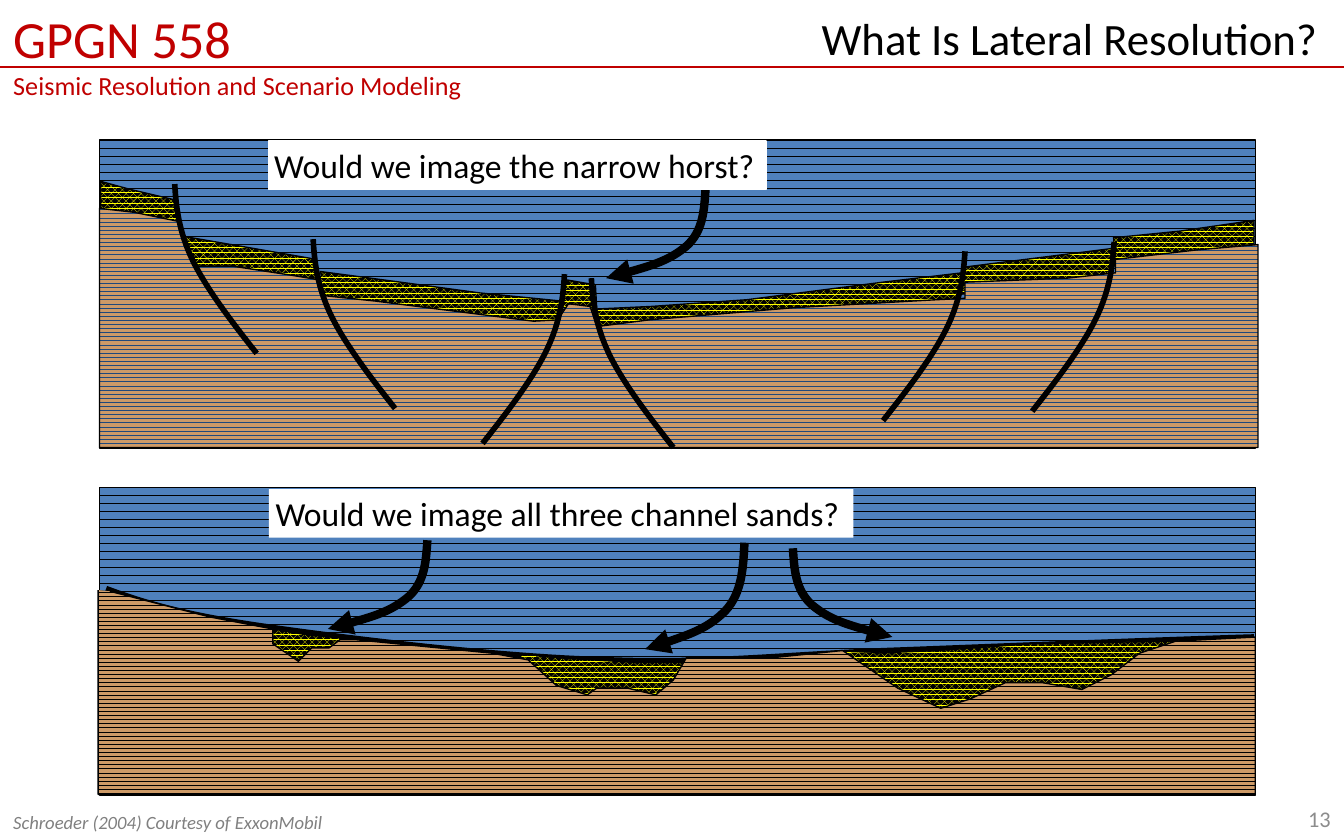
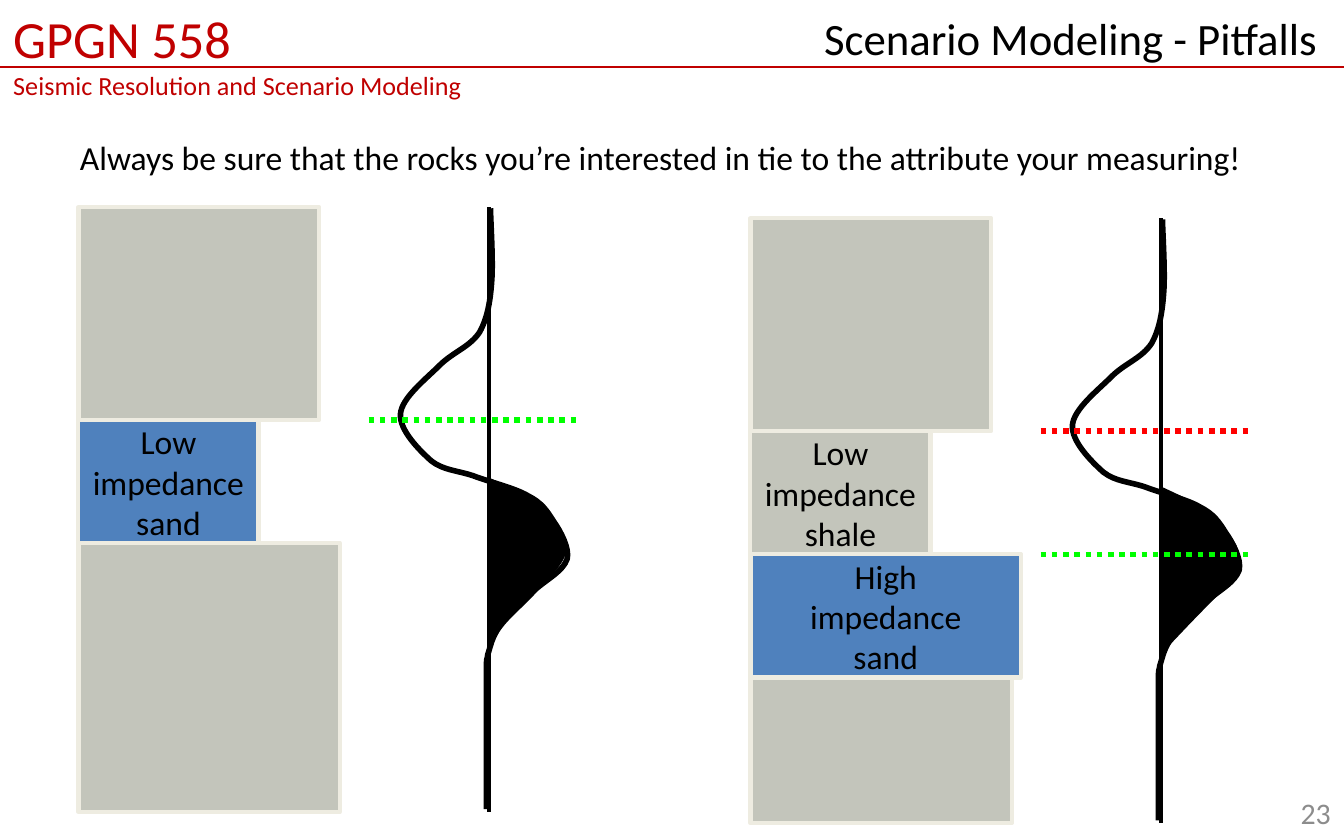
import pptx
import pptx.dml.color
import pptx.enum.dml
import pptx.enum.shapes
import pptx.enum.text
import pptx.oxml.ns
import pptx.util
from lxml import etree

Pt = pptx.util.Pt
qn = pptx.oxml.ns.qn
ALIGN = pptx.enum.text.PP_ALIGN
ANCHOR = pptx.enum.text.MSO_ANCHOR
AUTO_SIZE = pptx.enum.text.MSO_AUTO_SIZE
PATTERN = pptx.enum.dml.MSO_PATTERN
DASH = pptx.enum.dml.MSO_LINE
RECTANGLE = pptx.enum.shapes.MSO_SHAPE.RECTANGLE
STRAIGHT = pptx.enum.shapes.MSO_CONNECTOR.STRAIGHT

COLORS = {
    "red": "C00000", "black": "000000", "white": "FFFFFF", "number": "8C8C8C",
    "credit": "808080", "blue": "4F81BD", "yellow": "FFFF00", "earth": "CD9A67",
    "navy": "1F497D", "shale": "C3C5BB", "edge": "EEECE1",
    "green": "00FF00", "alert": "FF0000",
}
# Pattern fills: pattern, foreground, background
WATER = (PATTERN.DASHED_HORIZONTAL, "black", "blue")
SAND = (PATTERN.PERCENT_75, "yellow", "black")
LAYERED_EARTH = (PATTERN.DARK_HORIZONTAL, "earth", "navy")
DARK_EARTH = (PATTERN.DARK_HORIZONTAL, "earth", "black")

GRID = 0.72  # points per unit of the outline coordinates

# Curves: a start point, then three points per Bezier segment
FAULT = [(0, 0), (1, 17), (3, 35), (13, 56), (23, 77), (42, 102), (61, 126)]
ARROW = [(0, 0), (24, -6), (47, -13), (60, -24), (72, -35), (73, -50), (74, -66)]
HORIZON = [(79, 438), (106, 448), (134, 457), (196, 466), (258, 475), (373, 489),
           (451, 491), (528, 494), (583, 487), (663, 484), (744, 481), (838, 477),
           (933, 474)]
LOBE = [(364, 356), (368, 358), (382, 364), (389, 369), (397, 374), (405, 378),
        (410, 386), (415, 393), (423, 403), (420, 413), (417, 423), (401, 436),
        (392, 446), (382, 456), (373, 466), (365, 474)]
TRACE = [(365, 155), (365, 163), (367, 193), (366, 208), (365, 223), (363, 236),
         (357, 247), (350, 258), (337, 262), (327, 272), (317, 282), (299, 296),
         (298, 308), (297, 320), (312, 335), (321, 343), (330, 350), (340, 350),
         (352, 354), (365, 359), (383, 363), (393, 369), (403, 374), (407, 380),
         (412, 388), (417, 395), (424, 408), (422, 416), (419, 425), (407, 431),
         (398, 439), (390, 448), (378, 458), (372, 466), (366, 474), (365, 481),
         (363, 487), (362, 494), (362, 485), (362, 505), (362, 524), (362, 585),
         (362, 602)]

FAULTED_SANDS = [
    [(75, 160), (75, 135), (97, 141), (131, 149), (133, 163), (135, 172), (117, 169),
     (87, 161)],
    [(137, 176), (189, 185), (235, 193), (237, 206), (238, 216), (171, 206), (144, 199)],
    [(238, 202), (298, 210), (357, 218), (417, 224), (416, 239), (412, 245), (344, 238),
     (298, 231), (242, 224)],
    [(420, 208), (443, 212), (444, 229), (445, 237), (417, 228)],
    [(443, 230), (485, 228), (556, 223), (657, 210), (716, 203), (715, 218), (710, 230),
     (445, 255)],
    [(716, 199), (827, 185), (826, 201), (825, 209), (714, 219)],
    [(828, 177), (878, 172), (933, 164), (933, 186), (867, 194), (828, 198)],
]
FAULTED_GROUND = [
    (74, 155), (74, 333), (936, 333), (936, 182), (890, 186), (830, 193), (830, 203),
    (794, 207), (718, 210), (718, 222), (697, 223), (590, 229), (483, 238), (444, 243),
    (439, 228), (423, 226), (415, 238), (397, 239), (279, 224), (241, 220), (236, 208),
    (218, 205), (173, 198), (144, 198), (137, 182), (134, 165), (100, 158), (74, 155)]
# x, top, direction in which the fault leans downwards
FAULTS = [(130, 137, 1), (420, 204, -1), (440, 207, 1), (233, 178, 1),
          (718, 187, -1), (829, 180, -1)]

CHANNEL_SANDS = [
    [(625, 485), (647, 504), (678, 523), (699, 532), (710, 531), (733, 521), (747, 514),
     (768, 513), (790, 513), (809, 515), (825, 513), (836, 499), (844, 490), (865, 483),
     (875, 477), (767, 479), (699, 484), (651, 486)],
    [(387, 488), (397, 503), (414, 516), (431, 521), (449, 518), (467, 516), (487, 519),
     (497, 518), (510, 507), (517, 493), (474, 493), (422, 490), (399, 488)],
    [(203, 468), (226, 472), (256, 475), (251, 486), (237, 486), (226, 493), (214, 488),
     (203, 481), (203, 468)],
]
CHANNEL_GROUND = [
    (73, 439), (73, 591), (934, 591), (934, 474), (875, 477), (848, 486), (827, 502),
    (805, 513), (776, 508), (748, 508), (722, 520), (700, 527), (668, 512), (627, 484),
    (578, 489), (518, 489), (511, 489), (501, 506), (488, 517), (467, 512), (444, 512),
    (437, 517), (414, 510), (393, 491), (366, 486), (265, 476), (253, 476), (245, 482),
    (232, 482), (222, 492), (203, 479), (203, 468), (156, 459), (82, 440)]
# tip x, tip y, direction of the tail, vertical stretch
CHANNEL_ARROWS = [(244, 468, 1, 1), (480, 483, 1, 1.2), (664, 474, -1, 1)]


def rgb(name):
    return pptx.dml.color.RGBColor.from_string(COLORS[name])


def apply(target, **values):
    for name, value in values.items():
        setattr(target, name, value)


class Deck:
    font = "Calibri"
    title_insets = (7.2, 3.6, 14.4, 3.6)

    def __init__(self):
        self.presentation = pptx.Presentation()
        apply(self.presentation, slide_width=Pt(720), slide_height=Pt(450))
        self.slide = None

    def start(self, title, number, number_top, number_size):
        """Add a slide with its header, title and page number."""
        self.slide = self.presentation.slides.add_slide(
            self.presentation.slide_layouts[6])
        self.text((0, 0, 282.24, 56.88), ["GPGN 558", "Seismic Resolution and Scenario Modeling"],
                  [28, 14], "red", insets=self.title_insets)
        self.line((-1.5, 36), (721, 36), "red", 1.25)
        self.text((552, number_top, 168, 24), [number], [number_size], "number",
                  ALIGN.RIGHT, anchor=ANCHOR.MIDDLE)
        self.text((294, 2.25, 426, 36), [title], [24], align=ALIGN.RIGHT,
                  insets=self.title_insets)

    def label(self, shape, lines, sizes, color="black", align=ALIGN.LEFT, italic=False,
              insets=(7.2, 3.6, 7.2, 3.6), wrap=True, anchor=ANCHOR.TOP,
              auto_size=AUTO_SIZE.NONE):
        """Put one paragraph per line into the shape."""
        frame = shape.text_frame
        left, top, right, bottom = map(Pt, insets)
        apply(frame, margin_left=left, margin_top=top, margin_right=right,
              margin_bottom=bottom, word_wrap=wrap, vertical_anchor=anchor,
              auto_size=auto_size)
        for index, (line, size) in enumerate(zip(lines, sizes)):
            paragraph = frame.add_paragraph() if index else frame.paragraphs[0]
            paragraph.alignment = align
            run = paragraph.add_run()
            run.text = line
            apply(run.font, name=self.font, size=Pt(size), italic=italic)
            run.font.color.rgb = rgb(color)

    def text(self, box, lines, sizes, color="black", align=ALIGN.LEFT, **options):
        shape = self.slide.shapes.add_textbox(*map(Pt, box))
        self.label(shape, lines, sizes, color, align, **options)

    def paint(self, shape, fill, line, width):
        """Set fill (colour name, pattern or None) and line (colour name or None)."""
        shape.shadow.inherit = False
        if fill is None:
            shape.fill.background()
        elif isinstance(fill, tuple):
            shape.fill.patterned()
            shape.fill.pattern = fill[0]
            shape.fill.fore_color.rgb = rgb(fill[1])
            shape.fill.back_color.rgb = rgb(fill[2])
        else:
            shape.fill.solid()
            shape.fill.fore_color.rgb = rgb(fill)
        if line is None:
            shape.line.fill.background()
        else:
            shape.line.color.rgb = rgb(line)
            shape.line.width = Pt(width)

    def rectangle(self, box, fill, line="black", width=0.75):
        shape = self.slide.shapes.add_shape(RECTANGLE, *map(Pt, box))
        self.paint(shape, fill, line, width)
        return shape

    def question(self, box, text, line, inset):
        shape = self.rectangle(box, "white", line)
        self.label(shape, [text], [18], insets=(inset, 2.16) * 2, wrap=False,
                   auto_size=AUTO_SIZE.SHAPE_TO_FIT_TEXT)

    def outline(self, points, fill=None, width=0.75, origin=(0, 0), stretch=(1, 1)):
        """Draw an open outline from grid points, moved to origin and stretched."""
        points = [tuple(Pt(GRID * (start + factor * value))
                        for start, factor, value in zip(origin, stretch, point))
                  for point in points]
        builder = self.slide.shapes.build_freeform(*points[0])
        builder.add_line_segments(points[1:], close=False)
        shape = builder.convert_to_shape()
        self.paint(shape, fill, "black", width)
        return shape

    def curve(self, points, **options):
        """Draw an outline whose points after the first are Bezier triples."""
        shape = self.outline(points, **options)
        segments = list(shape.element.iter(qn("a:lnTo")))
        for first in range(0, len(segments), 3):
            bezier = etree.SubElement(segments[first].getparent(), qn("a:cubicBezTo"))
            for segment in segments[first:first + 3]:
                bezier.append(segment[0])
                segment.getparent().remove(segment)
        return shape

    def arrow(self, x, y, direction, stretch):
        shape = self.curve(ARROW, width=4.5, origin=(x, y), stretch=(direction, stretch))
        etree.SubElement(shape.element.spPr.find(qn("a:ln")), qn("a:headEnd"),
                         type="triangle")

    def line(self, start, end, color, width, dash=None):
        connector = self.slide.shapes.add_connector(STRAIGHT, *map(Pt, start + end))
        connector.line.color.rgb = rgb(color)
        apply(connector.line, width=Pt(width), dash_style=dash)
        etree.SubElement(connector.element.spPr, qn("a:effectLst"))


def lateral_resolution(deck):
    deck.start("What Is Lateral Resolution?", "13", 426.24, 12)

    deck.rectangle((53.5, 75, 619.2, 165), WATER)
    for sand in FAULTED_SANDS:
        deck.outline(sand, SAND)
    deck.outline(FAULTED_GROUND, LAYERED_EARTH)
    for x, top, direction in FAULTS:
        deck.curve(FAULT, width=3, origin=(x, top), stretch=(direction, 1))
    deck.arrow(451, 207, 1, 1)
    deck.question((144, 75.6, 266.4, 26), "Would we image the narrow horst?", "white", 2.88)

    deck.rectangle((53.5, 261, 619.2, 165), WATER)
    deck.curve(HORIZON, width=3)
    for sand in CHANNEL_SANDS:
        deck.outline(sand, SAND)
    for arrow in CHANNEL_ARROWS:
        deck.arrow(*arrow)
    deck.question((144, 262, 313.2, 26), "Would we image all three channel sands?", None, 3.6)
    deck.outline(CHANNEL_GROUND, DARK_EARTH)

    deck.text((0, 430.5, 324, 19.5), ["Schroeder (2004) Courtesy of ExxonMobil"], [10],
              "credit", italic=True, anchor=ANCHOR.MIDDLE)


def rock_model(deck, right, down, layers, lobe_width, markers):
    """Draw stacked rock layers beside their seismic trace, moved by right and down."""
    for top, width, height, fill, name in layers:
        layer = deck.rectangle((42 + right, top + down, width, height), fill, "edge", 2.25)
        if name:
            deck.label(layer, name.split(), [18] * 3, align=ALIGN.CENTER, wrap=False,
                       anchor=ANCHOR.MIDDLE)
    deck.line((262 + right, 111 + down), (262 + right, 435 + down), "black", 2.25)
    origin = (right / GRID, down / GRID)
    deck.curve(LOBE, fill="black", width=lobe_width, origin=origin)
    deck.curve(TRACE, width=3, origin=origin)
    for y, color in markers:
        deck.line((197.5 + right, y + down), (310 + right, y + down), color, 3,
                  DASH.ROUND_DOT)


def pitfalls(deck):
    deck.start("Scenario Modeling - Pitfalls", "23", 423.36, 16)
    top_layer = (111, 129, 114, "shale", "")
    base_layer = (291, 140, 144, "shale", "")
    rock_model(deck, 0, 0,
               [top_layer, (225, 96.5, 66, "blue", "Low impedance sand"), base_layer],
               0.75, [(225, "green")])
    rock_model(deck, 360, 6,
               [top_layer, (225, 96.5, 66, "shale", "Low impedance shale"), base_layer,
                (291, 145, 66, "blue", "High impedance sand")],
               3, [(291, "green"), (225, "alert")])
    deck.text((18, 69.75, 672, 29), [
        "Always be sure that the rocks you’re interested in tie to the attribute your measuring!"],
        [18], align=ALIGN.CENTER)


def main():
    deck = Deck()
    lateral_resolution(deck)
    pitfalls(deck)
    deck.presentation.save("out.pptx")


if __name__ == "__main__":
    main()
